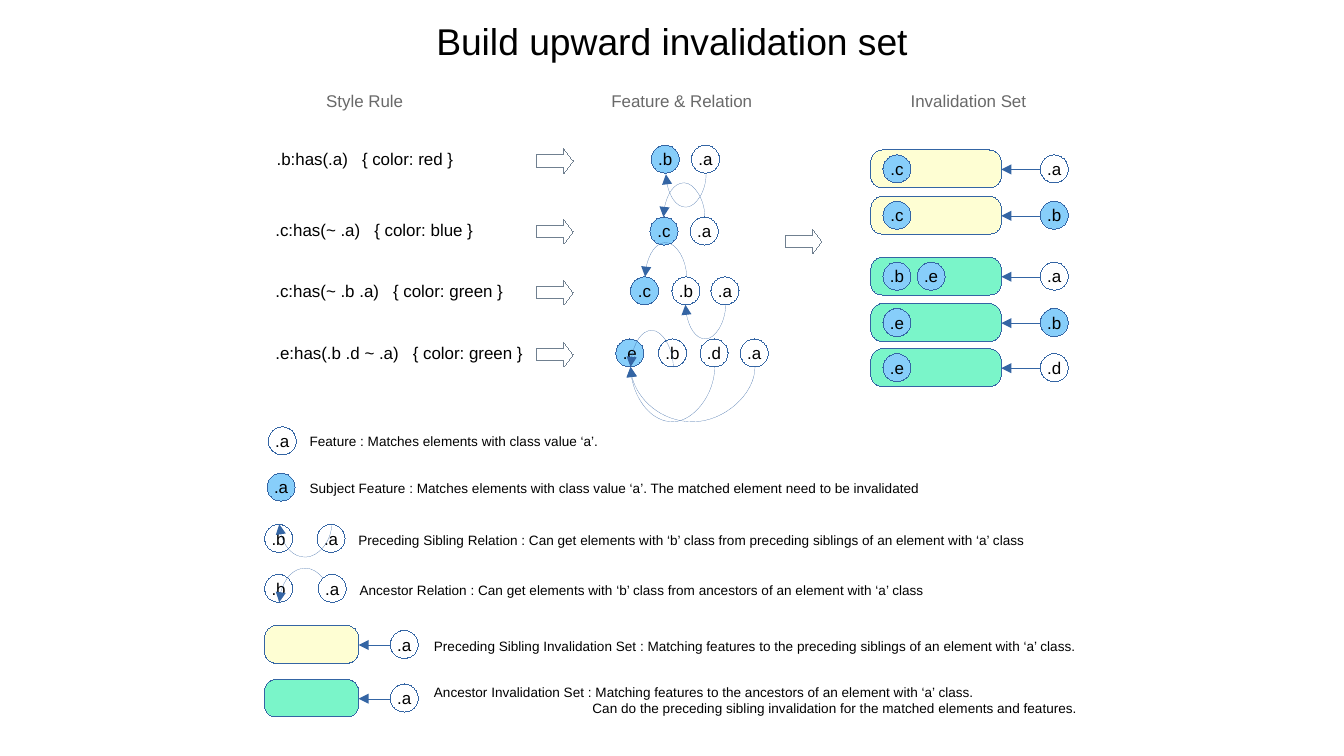
from lxml import etree
from pptx import Presentation
from pptx.dml.color import RGBColor
from pptx.enum.shapes import MSO_CONNECTOR, MSO_SHAPE
from pptx.enum.text import MSO_ANCHOR, PP_ALIGN
from pptx.oxml.ns import qn
from pptx.util import Inches, Pt

OVAL, RECT = MSO_SHAPE.OVAL, MSO_SHAPE.RECTANGLE
ROUNDED, BLOCK_ARROW = MSO_SHAPE.ROUNDED_RECTANGLE, MSO_SHAPE.RIGHT_ARROW
STRAIGHT, CURVE = MSO_CONNECTOR.STRAIGHT, MSO_CONNECTOR.CURVE
LEFT, CENTER = PP_ALIGN.LEFT, PP_ALIGN.CENTER
TOP, MIDDLE = MSO_ANCHOR.TOP, MSO_ANCHOR.MIDDLE

BLACK = RGBColor(0x00, 0x00, 0x00)
WHITE = RGBColor(0xFF, 0xFF, 0xFF)
GRAY = RGBColor(0x69, 0x69, 0x69)
SLATE = RGBColor(0x70, 0x80, 0x90)
BLUE = RGBColor(0x34, 0x65, 0xA4)
SKY = RGBColor(0x87, 0xCE, 0xFA)
YELLOW = RGBColor(0xFE, 0xFE, 0xD3)
MINT = RGBColor(0x7A, 0xF5, 0xC9)

FONT = "Arial"
NODE = 0.23
BOX_H = 0.31
CURVE_W = 720  # EMU; the bend of a curve is a multiple of this sliver

TITLE = "Build upward invalidation set"
# text, left, width
HEADINGS = [("Style Rule", 2.4, 1.18), ("Feature & Relation", 5, 1.18),
            ("Invalidation Set", 7.13, 1.62)]
# rule, left, top, top of its arrow, top of its nodes, (node, left, is subject)
RULES = [
    (".b:has(.a)   { color: red }", 2.17, 1.15, 1.22, 1.19,
     [(".b", 5.34, True), (".a", 5.67, False)]),
    (".c:has(~ .a)   { color: blue }", 2.16, 1.73, 1.8, 1.78,
     [(".c", 5.33, True), (".a", 5.66, False)]),
    (".c:has(~ .b .a)   { color: green }", 2.16, 2.23, 2.3, 2.27,
     [(".c", 5.17, True), (".b", 5.51, False), (".a", 5.83, False)]),
    (".e:has(.b .d ~ .a)   { color: green }", 2.16, 2.74, 2.81, 2.78,
     [(".e", 5.05, True), (".b", 5.4, False), (".d", 5.74, False),
      (".a", 6.07, False)]),
]
# arrowhead x, far x, y, depth of the bend (positive goes down)
RELATIONS = [
    (5.46, 5.79, 1.43, 0.27), (5.44, 5.78, 1.78, -0.28),
    (5.29, 5.63, 2.27, -0.28), (5.62, 5.95, 2.5, 0.28),
    (5.17, 6.19, 3.01, 0.45), (5.17, 5.86, 3.01, 0.45),
    (5.17, 5.52, 3.01, -0.3),
    (2.29, 2.72, 4.3, 0.27), (2.29, 2.72, 4.94, -0.28),
]
# left, top, width, fill, members, key, key left, key is subject
SETS = [
    (7.14, 1.23, 1.07, YELLOW, [".c"], ".a", 8.53, False),
    (7.14, 1.61, 1.07, YELLOW, [".c"], ".b", 8.53, True),
    (7.14, 2.11, 1.07, MINT, [".b", ".e"], ".a", 8.53, False),
    (7.14, 2.49, 1.07, MINT, [".e"], ".b", 8.53, True),
    (7.14, 2.86, 1.07, MINT, [".e"], ".d", 8.53, False),
    (2.17, 5.13, 0.77, YELLOW, [], ".a", 3.2, False),
    (2.17, 5.57, 0.77, MINT, [], ".a", 3.2, False),
]
LEGEND_NODES = [(".a", 2.2, 3.5, False), (".a", 2.19, 3.88, True),
                (".b", 2.17, 4.3, False), (".a", 2.6, 4.3, False),
                (".b", 2.17, 4.71, False)]
ANCESTOR_END = (".a", 2.61, 4.71, False)  # lies over the end of its curve
# left, top, width, height, lines
LEGEND = [
    (2.44, 3.5, 5.21, 0.22, ["Feature : Matches elements with class value ‘a’."]),
    (2.44, 3.89, 5.39, 0.22, ["Subject Feature : Matches elements with class value ‘a’. "
                              "The matched element need to be invalidated"]),
    (2.84, 4.31, 5.96, 0.22, ["Preceding Sibling Relation : Can get elements with ‘b’ class "
                              "from preceding siblings of an element with ‘a’ class"]),
    (2.85, 4.72, 5.28, 0.25, ["Ancestor Relation : Can get elements with ‘b’ class "
                              "from ancestors of an element with ‘a’ class"]),
    (3.46, 5.18, 5.54, 0.35, ["Preceding Sibling Invalidation Set : Matching features "
                              "to the preceding siblings of an element with ‘a’ class."]),
    (3.46, 5.56, 5.74, 0.47, ["Ancestor Invalidation Set : Matching features "
                              "to the ancestors of an element with ‘a’ class.",
                              "Can do the preceding sibling invalidation "
                              "for the matched elements and features."]),
]
SECOND_LINE_INDENT = 1.3

prs = Presentation()
prs.slide_width, prs.slide_height = Inches(11.02), Inches(6.2)
shapes = prs.slides.add_slide(prs.slide_layouts[6]).shapes


def write(sp, lines, size=10, color=BLACK, align=LEFT, anchor=MIDDLE, wrap=False):
    tf = sp.text_frame
    tf.word_wrap, tf.vertical_anchor = wrap, anchor
    for i, line in enumerate(lines):
        p = tf.add_paragraph() if i else tf.paragraphs[0]
        p.alignment = align
        if i:
            p._p.get_or_add_pPr().set("marL", str(Inches(SECOND_LINE_INDENT)))
        r = p.add_run()
        r.text = line
        for name, value in {"name": FONT, "size": Pt(size)}.items():
            setattr(r.font, name, value)
        r.font.color.rgb = color


def set_hairline(sp, color):
    """Write w="0" out, since a missing width falls back to the theme's thick line."""
    sp.line.color.rgb = color
    ln = sp._element.spPr.find(qn("a:ln"))
    ln.set("w", "0")
    return ln


def add_shape(kind, x, y, w, h, fill, line=BLUE):
    sp = shapes.add_shape(kind, Inches(x), Inches(y), Inches(w), Inches(h))
    sp.shadow.inherit = False
    sp.fill.solid()
    sp.fill.fore_color.rgb = fill
    if line is None:
        sp.line.fill.background()
    else:
        set_hairline(sp, line)
    return sp


def add_label(text, x, y, w, **fmt):
    write(add_shape(RECT, x, y, w, 0.31, WHITE, None), [text], **fmt)


def add_text(x, y, w, h, lines, **fmt):
    box = shapes.add_textbox(Inches(x), Inches(y), Inches(w), Inches(h))
    write(box, lines, anchor=TOP, wrap=True, **fmt)


def add_node(text, x, y, subject):
    sp = add_shape(OVAL, x, y, NODE, NODE, SKY if subject else WHITE)
    write(sp, [text], align=CENTER)


def add_block_arrow(x, y):
    sp = add_shape(BLOCK_ARROW, x, y, 0.3, 0.2, WHITE, SLATE)
    sp.adjustments[1] = 0.376


def add_line(kind, x1, y1, x2, y2, end):
    """Hairline connector with a triangle at end, either headEnd or tailEnd."""
    cn = shapes.add_connector(kind, Inches(x1), Inches(y1), Inches(x2), Inches(y2))
    etree.SubElement(set_hairline(cn, BLUE), qn("a:" + end), type="triangle")
    etree.SubElement(cn._element.spPr, qn("a:effectLst"))
    return cn


def add_relation(x1, x2, y, depth):
    """U-shaped curve: a sliver turned by 270 degrees whose bend lies far outside."""
    cn = add_line(CURVE, x1, y, x2, y, "headEnd")
    span = Inches(x2 - x1)
    cn.left = Inches((x1 + x2) / 2) - CURVE_W // 2
    cn.top = Inches(y) - span // 2
    cn.width, cn.height = CURVE_W, span
    xfrm = cn._element.spPr.find(qn("a:xfrm"))
    for name, value in {"rot": "16200000", "flipH": "1"}.items():
        xfrm.set(name, value)
    guides = cn._element.spPr.find(qn("a:prstGeom")).find(qn("a:avLst"))
    bend = round(Inches(depth) / CURVE_W * 100000)
    etree.SubElement(guides, qn("a:gd"), name="adj1", fmla=f"val {bend}")


def add_set(x, y, w, fill, members, key, key_x, subject):
    add_shape(ROUNDED, x, y, w, BOX_H, fill).adjustments[0] = 0.31
    for i, member in enumerate(members):
        add_node(member, x + 0.1 + 0.28 * i, y + 0.04, True)
    add_node(key, key_x, y + 0.04, subject)
    add_line(STRAIGHT, key_x, y + 0.16, x + w, y + 0.16, "tailEnd")


add_text(0, 0.1, 11.02, 0.5, [TITLE], size=22, align=CENTER)
for text, x, w in HEADINGS:
    add_label(text, x, 0.67, w, color=GRAY, align=CENTER)
for text, x, y, arrow_y, node_y, nodes in RULES:
    add_label(text, x, y, 1.83)
    add_block_arrow(4.4, arrow_y)
    for name, node_x, subject in nodes:
        add_node(name, node_x, node_y, subject)
add_block_arrow(6.44, 1.88)
for node in LEGEND_NODES:
    add_node(*node)
for relation in RELATIONS:
    add_relation(*relation)
add_node(*ANCESTOR_END)
for invalidation_set in SETS:
    add_set(*invalidation_set)
for entry in LEGEND:
    add_text(*entry, size=8)

prs.save("out.pptx")
